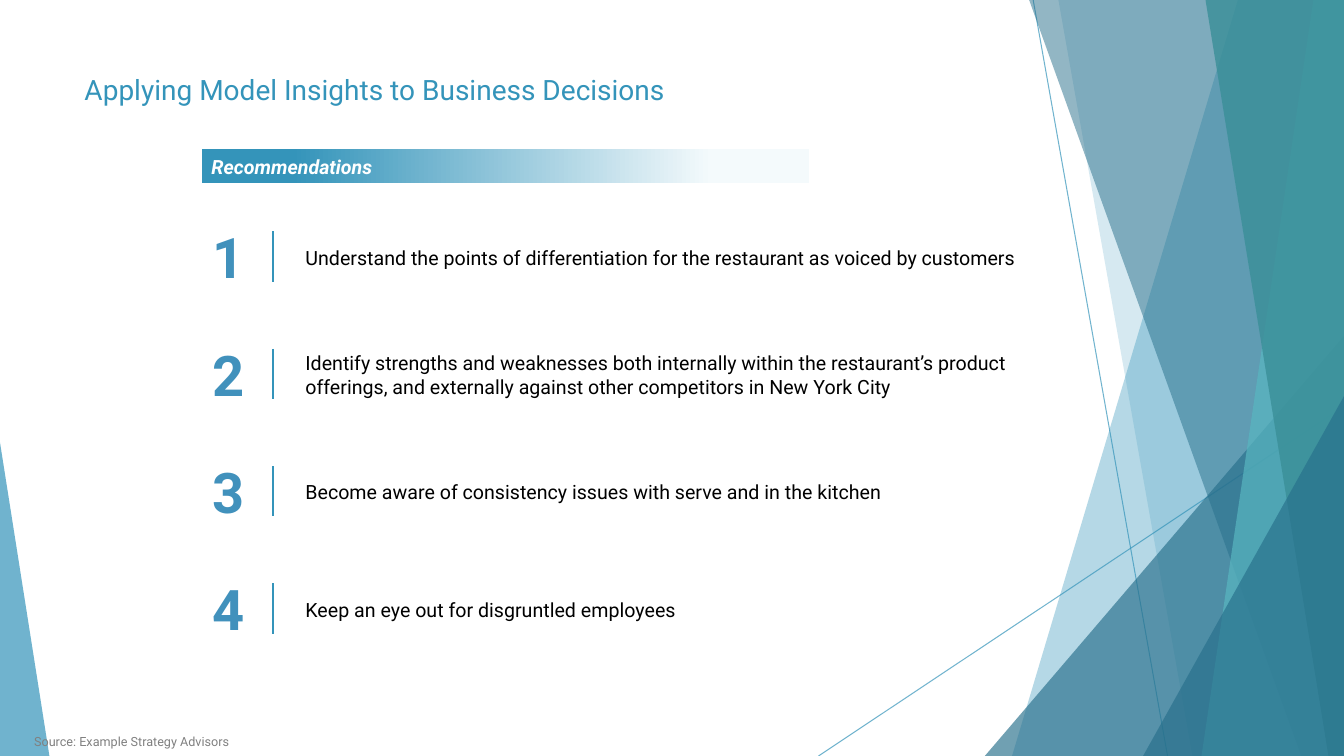
"""Build the recommendations slide on a grid of 160 columns by 90 rows."""
from dataclasses import dataclass, field

from lxml.etree import SubElement
from pptx import Presentation
from pptx.dml.color import RGBColor
from pptx.enum.shapes import MSO_CONNECTOR as Connector, MSO_SHAPE as Preset
from pptx.enum.text import MSO_ANCHOR as Anchor, PP_ALIGN as Align
from pptx.oxml.ns import qn
from pptx.util import Inches, Pt

COLUMNS, ROWS = 160, 90
CELL = Inches(1 / 12)
COLORS = {
    "blue": "3494BA", "deep": "276F8B", "aqua": "58B6C0", "teal": "3A8F98",
    "pale": "F4FAFC", "number": "4191BC", "gray": "808080",
    "white": "FFFFFF", "black": "000000",
}
FONT = "Roboto"
ITEM_TOP, ITEM_PITCH = 25.56, 13.96
RECOMMENDATIONS = [
    "Understand the points of differentiation for the restaurant as voiced by customers",
    "Identify strengths and weaknesses both internally within the restaurant’s product "
    "offerings, and externally against other competitors in New York City",
    "Become aware of consistency issues with serve and in the kitchen",
    "Keep an eye out for disgruntled employees",
]


@dataclass
class Box:
    left: float
    top: float
    width: float
    height: float

    def lengths(self) -> list[int]:
        return [grid(value) for value in (self.left, self.top, self.width, self.height)]


@dataclass
class Band:
    top_column: float
    bottom_column: float
    color: str
    opacity: int


@dataclass
class Wedge:
    box: Box
    apex: float
    color: str
    opacity: int


@dataclass
class Line:
    start: tuple[float, float]
    end: tuple[float, float]
    width: float
    opacity: int = 100


@dataclass
class Label:
    text: str
    color: str
    font: dict
    frame: dict = field(default_factory=dict)
    paragraph: dict = field(default_factory=dict)


LINES = [
    Line((123, 0), (139, ROWS), 0.75, 70),
    Line((COLUMNS, 48.36), (97.44, ROWS), 0.75, 70),
]
FACETS = [
    Band(147.36, 120.48, "blue", 36),
    Band(126, 141.96, "blue", 20),
    Wedge(Box(117.24, 40, 42.76, 50), 1, "deep", 66),
    Band(122.52, 154.92, "deep", 50),
    Band(156.36, 143.04, "aqua", 70),
    Band(143.52, 158.16, "teal", 80),
    Wedge(Box(136.08, 47.16, 23.92, 42.84), 1, "deep", 66),
    Wedge(Box(0, 52.68, 5.88, 37.32), 0, "blue", 70),
]


def grid(value: float) -> int:
    return round(value * CELL)


def color_of(name: str) -> RGBColor:
    return RGBColor.from_string(COLORS[name])


def apply(target, values: dict) -> None:
    for name, value in values.items():
        setattr(target, name, value)


def set_opacity(shape, percent: int) -> None:
    color = shape.element.spPr.find(f".//{qn('a:srgbClr')}")
    SubElement(color, qn("a:alpha")).set("val", str(percent * 1000))


def draw_line(slide, line: Line) -> None:
    ends = [grid(value) for value in (*line.start, *line.end)]
    connector = slide.shapes.add_connector(Connector.STRAIGHT, *ends)
    connector.line.color.rgb = color_of("blue")
    connector.line.width = Pt(line.width)
    if line.opacity < 100:
        set_opacity(connector, line.opacity)
    SubElement(connector.element.spPr, qn("a:effectLst"))


def draw_facet(slide, facet: Band | Wedge) -> None:
    if isinstance(facet, Band):
        builder = slide.shapes.build_freeform(grid(facet.top_column), 0)
        corners = [(COLUMNS, 0), (COLUMNS, ROWS), (facet.bottom_column, ROWS)]
        builder.add_line_segments([(grid(x), grid(y)) for x, y in corners])
        shape = builder.convert_to_shape()
    else:
        shape = slide.shapes.add_shape(Preset.ISOSCELES_TRIANGLE, *facet.box.lengths())
        shape.adjustments[0] = facet.apex
    shape.shadow.inherit = False
    shape.fill.solid()
    shape.fill.fore_color.rgb = color_of(facet.color)
    shape.line.fill.background()
    set_opacity(shape, facet.opacity)


def write(shape, label: Label) -> None:
    frame = shape.text_frame
    apply(frame, {"word_wrap": True, **label.frame})
    paragraph = frame.paragraphs[0]
    apply(paragraph, {"alignment": Align.LEFT, **label.paragraph})
    run = paragraph.add_run()
    run.text = label.text
    apply(run.font, {"name": FONT, **label.font})
    run.font.color.rgb = color_of(label.color)


def draw_text(slide, box: Box, label: Label) -> None:
    write(slide.shapes.add_textbox(*box.lengths()), label)


def draw_banner(slide) -> None:
    banner = slide.shapes.add_shape(Preset.RECTANGLE, *Box(24, 17.76, 72.36, 4.08).lengths())
    banner.shadow.inherit = False
    banner.line.fill.background()
    banner.fill.gradient()
    banner.fill.gradient_angle = 180
    for stop, (position, color) in zip(
        banner.fill.gradient_stops, [(0.16, "pale"), (0.85, "blue")]
    ):
        stop.position = position
        stop.color.rgb = color_of(color)
    write(banner, Label(
        "Recommendations", "white", {"size": Pt(14), "bold": True, "italic": True},
        {"vertical_anchor": Anchor.MIDDLE, "margin_top": Inches(0.1),
         "margin_bottom": Inches(0.1)}))


def draw_recommendation(slide, index: int, text: str) -> None:
    top = ITEM_TOP + index * ITEM_PITCH
    draw_text(slide, Box(24, top + 0.4, 6.36, 9.24), Label(
        str(index + 1), "number", {"size": Pt(40), "bold": True},
        {"word_wrap": False}, {"alignment": Align.CENTER}))
    draw_line(slide, Line((32.5, top + 2), (32.5, top + 8), 1))
    margins = {f"margin_{side}": 0 for side in ("left", "top", "right", "bottom")}
    draw_text(slide, Box(36.36, top, 90.84, 10.2), Label(
        text, "black", {"size": Pt(14)},
        {"vertical_anchor": Anchor.MIDDLE, **margins}, {"space_before": Pt(8)}))


def main() -> None:
    presentation = Presentation()
    presentation.slide_width = grid(COLUMNS)
    presentation.slide_height = grid(ROWS)
    slide = presentation.slides.add_slide(presentation.slide_layouts[6])
    for line in LINES:
        draw_line(slide, line)
    for facet in FACETS:
        draw_facet(slide, facet)
    draw_text(slide, Box(8.88, 8.04, 112.8, 17.28), Label(
        "Applying Model Insights to Business Decisions", "blue", {"size": Pt(20)}))
    draw_text(slide, Box(2.88, 83.4, 130.08, 6.36), Label(
        "Source: Example Strategy Advisors", "gray", {"size": Pt(9)},
        {"vertical_anchor": Anchor.BOTTOM, "margin_top": Inches(0.03)}))
    draw_banner(slide)
    for index, text in enumerate(RECOMMENDATIONS):
        draw_recommendation(slide, index, text)
    presentation.save("out.pptx")


if __name__ == "__main__":
    main()
